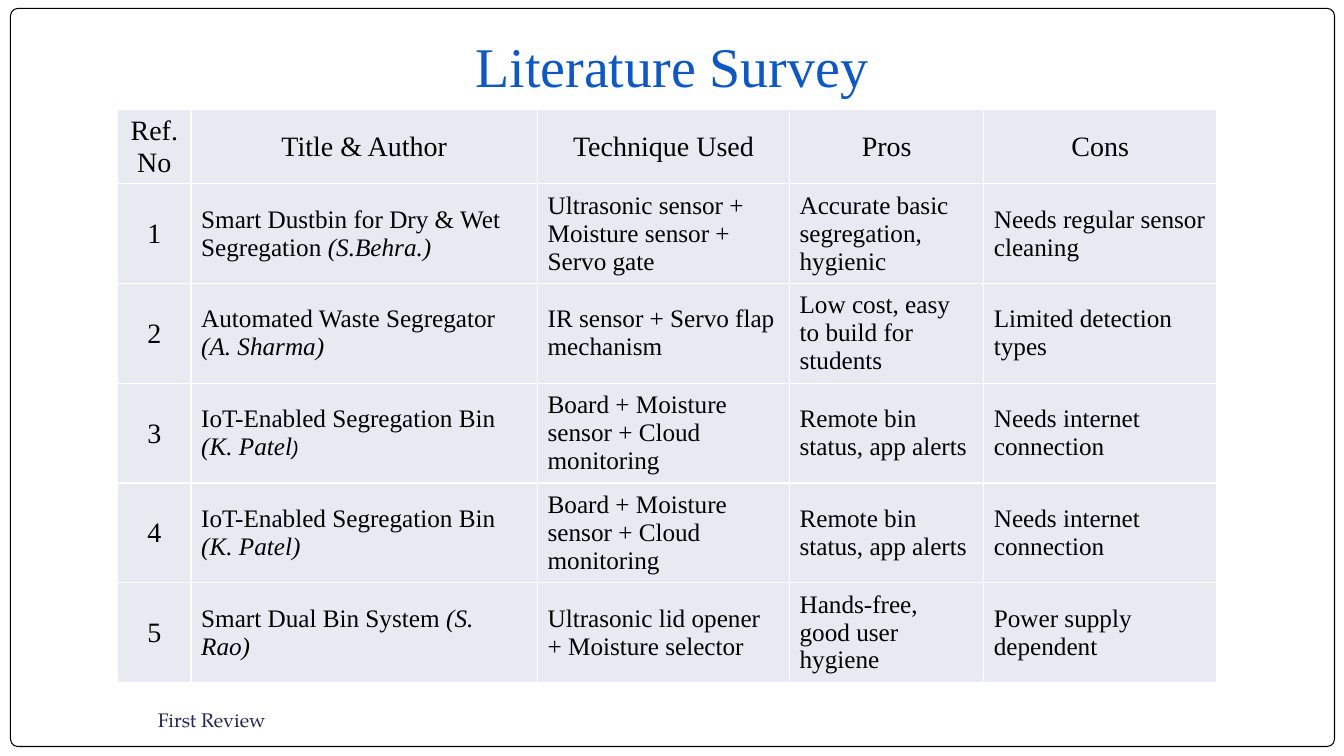
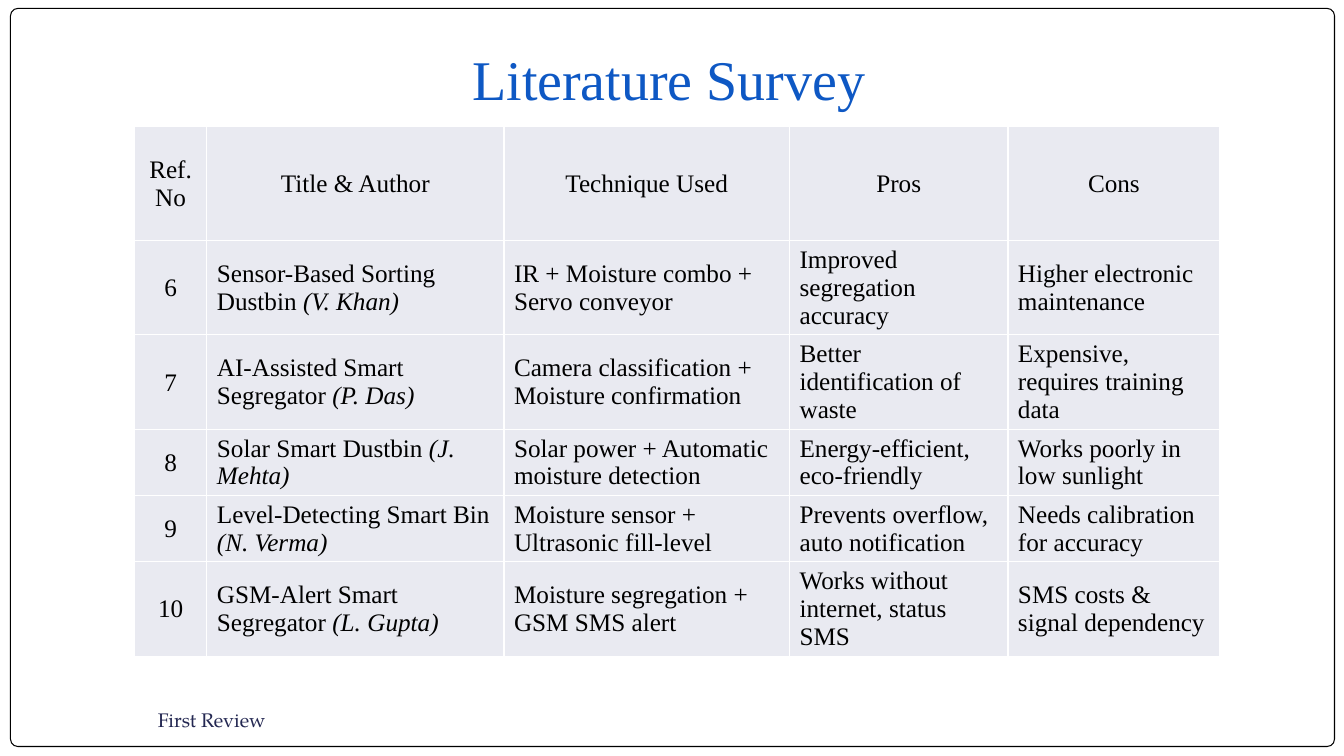
from lxml.etree import SubElement
from pptx import Presentation
from pptx.dml.color import RGBColor
from pptx.enum.shapes import MSO_SHAPE, PP_PLACEHOLDER
from pptx.enum.text import MSO_ANCHOR, MSO_AUTO_SIZE, PP_ALIGN
from pptx.oxml.ns import qn
from pptx.util import Pt

PX = 9525  # EMU per px, 96 px to the inch
COLORS = {"paper": "FFFFFF", "ink": "000000", "title": "0E58C4",
          "footer": "242852", "cell": "E9EAF1"}
SERIF, FOOTER_FONT = "Times New Roman", "TeX Gyre Pagella"

# Content: number, work, author runs, technique, pros, cons
HEADINGS = ("Ref. No", "Title & Author", "Technique Used", "Pros", "Cons")
AUTHOR = {"italic": True}
SMALL_BRACKET = {"italic": True, "size": 14, "font": "Arial"}
SURVEYS = [
    {
        "title_box": (96, 0, 1088, 104),
        "table_at": (112, 104),
        "columns": (70, 330, 240, 185, 222),
        "rows": (71, 95, 95, 95, 95, 95),
        "number_size": 20,
        "entries": [
            ("1", "Smart Dustbin for Dry & Wet Segregation ", [("(S.Behra.)", AUTHOR)],
             "Ultrasonic sensor + Moisture sensor + Servo gate",
             "Accurate basic segregation, hygienic", "Needs regular sensor cleaning"),
            ("2", "Automated Waste Segregator ", [("(A. Sharma)", AUTHOR)],
             "IR sensor + Servo flap mechanism",
             "Low cost, easy to build for students", "Limited detection types"),
            ("3", "IoT-Enabled Segregation Bin ",
             [("(K. Patel", AUTHOR), (")", SMALL_BRACKET)],
             "Board + Moisture sensor + Cloud monitoring",
             "Remote bin status, app alerts", "Needs internet connection"),
            ("4", "IoT-Enabled Segregation Bin ", [("(K. Patel)", AUTHOR)],
             "Board + Moisture sensor + Cloud monitoring",
             "Remote bin status, app alerts", "Needs internet connection"),
            ("5", "Smart Dual Bin System ", [("(S. Rao)", AUTHOR)],
             "Ultrasonic lid opener + Moisture selector",
             "Hands-free, good user hygiene", "Power supply dependent"),
        ],
    },
    {
        "title_box": (93, 28, 1088, 88),
        "table_at": (128, 120),
        "columns": (69, 283, 272, 208, 202),
        "rows": (109, 90, 90, 63, 63, 90),
        "number_size": 18,
        "entries": [
            ("6", "Sensor-Based Sorting Dustbin ", [("(V. Khan)", AUTHOR)],
             "IR + Moisture combo + Servo conveyor",
             "Improved segregation accuracy", "Higher electronic maintenance"),
            ("7", "AI-Assisted Smart Segregator ", [("(P. Das)", AUTHOR)],
             "Camera classification + Moisture confirmation",
             "Better identification of waste", "Expensive, requires training data"),
            ("8", "Solar Smart Dustbin ", [("(J. Mehta)", AUTHOR)],
             "Solar power + Automatic moisture detection",
             "Energy-efficient, eco-friendly", "Works poorly in low sunlight"),
            ("9", "Level-Detecting Smart Bin ", [("(N. Verma)", AUTHOR)],
             "Moisture sensor + Ultrasonic fill-level",
             "Prevents overflow, auto notification", "Needs calibration for accuracy"),
            ("10", "GSM-Alert Smart Segregator ", [("(L. Gupta)", AUTHOR)],
             "Moisture segregation + GSM SMS alert",
             "Works without internet, status SMS", "SMS costs & signal dependency"),
        ],
    },
]


def px(*lengths):
    return [length * PX for length in lengths]


def color(name):
    return RGBColor.from_string(COLORS[name])


def add_run(paragraph, text, size=18, font=SERIF, ink="ink", italic=False):
    run = paragraph.add_run()
    run.text = text
    run.font.size, run.font.name = Pt(size), font
    run.font.bold, run.font.italic = False, italic
    run.font.color.rgb = color(ink)


def set_margins(holder, *sides):
    (holder.margin_left, holder.margin_top,
     holder.margin_right, holder.margin_bottom) = px(*sides)


def add_shared_parts(layout, slide):
    """Draw the frame and footer once and hand them to the layout."""
    for placeholder in list(layout.placeholders):
        if placeholder.placeholder_format.type != PP_PLACEHOLDER.TITLE:
            layout.shapes.element.remove(placeholder.element)

    frame = slide.shapes.add_shape(MSO_SHAPE.ROUNDED_RECTANGLE, *px(10, 8, 1261, 703))
    frame.adjustments[0] = 0.01
    frame.shadow.inherit = False
    frame.fill.solid()
    frame.fill.fore_color.rgb = color("paper")
    frame.line.color.rgb = color("ink")
    frame.line.width = Pt(0.75)

    footer = slide.shapes.add_textbox(*px(141, 661, 555, 48))
    footer.text_frame.word_wrap = True
    footer.text_frame.vertical_anchor = MSO_ANCHOR.MIDDLE
    add_run(footer.text_frame.paragraphs[0], "First Review", 14, FOOTER_FONT, "footer")

    for part in (frame, footer):
        layout.shapes.element.append(part.element)


def set_title(slide, box):
    title = slide.shapes.title
    title.left, title.top, title.width, title.height = px(*box)
    heading = title.text_frame
    heading.auto_size = MSO_AUTO_SIZE.NONE
    heading.vertical_anchor = MSO_ANCHOR.BOTTOM
    set_margins(heading, 10, 5, 10, 10)
    heading.paragraphs[0].alignment = PP_ALIGN.CENTER
    add_run(heading.paragraphs[0], "Literature Survey", 40, ink="title")


def fill_cell(cell, runs, centered):
    # Borders come before the fill in the cell properties
    properties = cell._tc.get_or_add_tcPr()
    for side in ("lnL", "lnR", "lnT", "lnB"):
        border = SubElement(properties, qn(f"a:{side}"), w=str(Pt(1)))
        SubElement(SubElement(border, qn("a:solidFill")), qn("a:srgbClr"),
                   val=COLORS["paper"])
    cell.fill.solid()
    cell.fill.fore_color.rgb = color("cell")
    cell.vertical_anchor = MSO_ANCHOR.MIDDLE
    paragraph = cell.text_frame.paragraphs[0]
    if centered:
        set_margins(cell, 1, 1, 1, 0)
        paragraph.alignment = PP_ALIGN.CENTER
    for text, style in runs:
        add_run(paragraph, text, **style)


def add_survey_table(slide, survey):
    columns, rows = survey["columns"], survey["rows"]
    table = slide.shapes.add_table(
        len(rows), len(columns),
        *px(*survey["table_at"], sum(columns), sum(rows))).table
    table.horz_banding = False
    for column, width in zip(table.columns, columns):
        column.width = width * PX
    for row, height in zip(table.rows, rows):
        row.height = height * PX

    label = {"size": survey["number_size"]}
    lines = [[[(heading, label)] for heading in HEADINGS]]
    for number, work, author, *findings in survey["entries"]:
        lines.append([[(number, label)], [(work, {}), *author],
                      *([(finding, {})] for finding in findings)])
    for r, line in enumerate(lines):
        for c, runs in enumerate(line):
            fill_cell(table.cell(r, c), runs, centered=r == 0 or c == 0)


def main():
    deck = Presentation()
    deck.slide_width, deck.slide_height = px(1280, 720)
    layout = deck.slide_layouts.get_by_name("Title Only")
    for index, survey in enumerate(SURVEYS):
        slide = deck.slides.add_slide(layout)
        if index == 0:
            add_shared_parts(layout, slide)
        set_title(slide, survey["title_box"])
        add_survey_table(slide, survey)
    deck.save("out.pptx")


if __name__ == "__main__":
    main()
